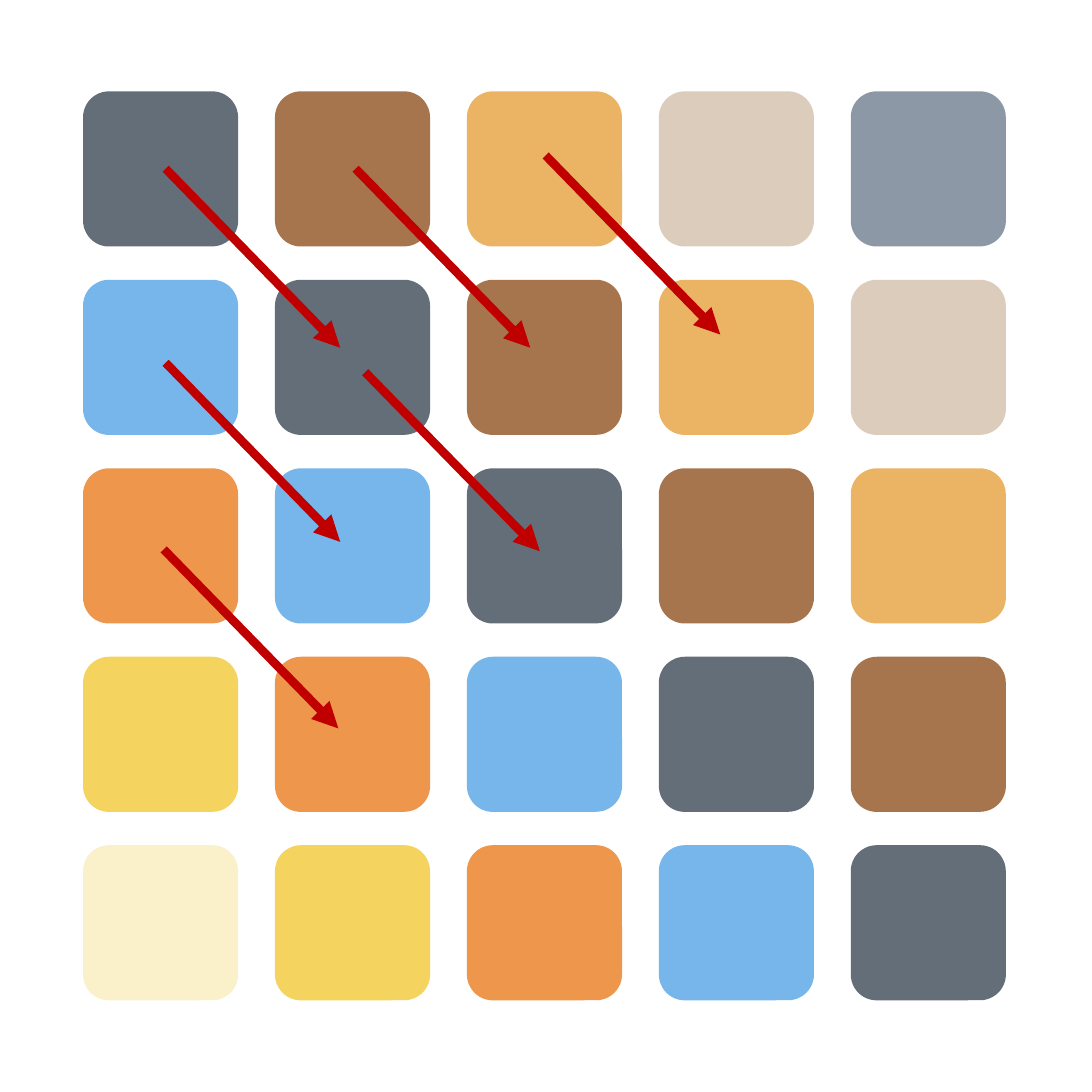
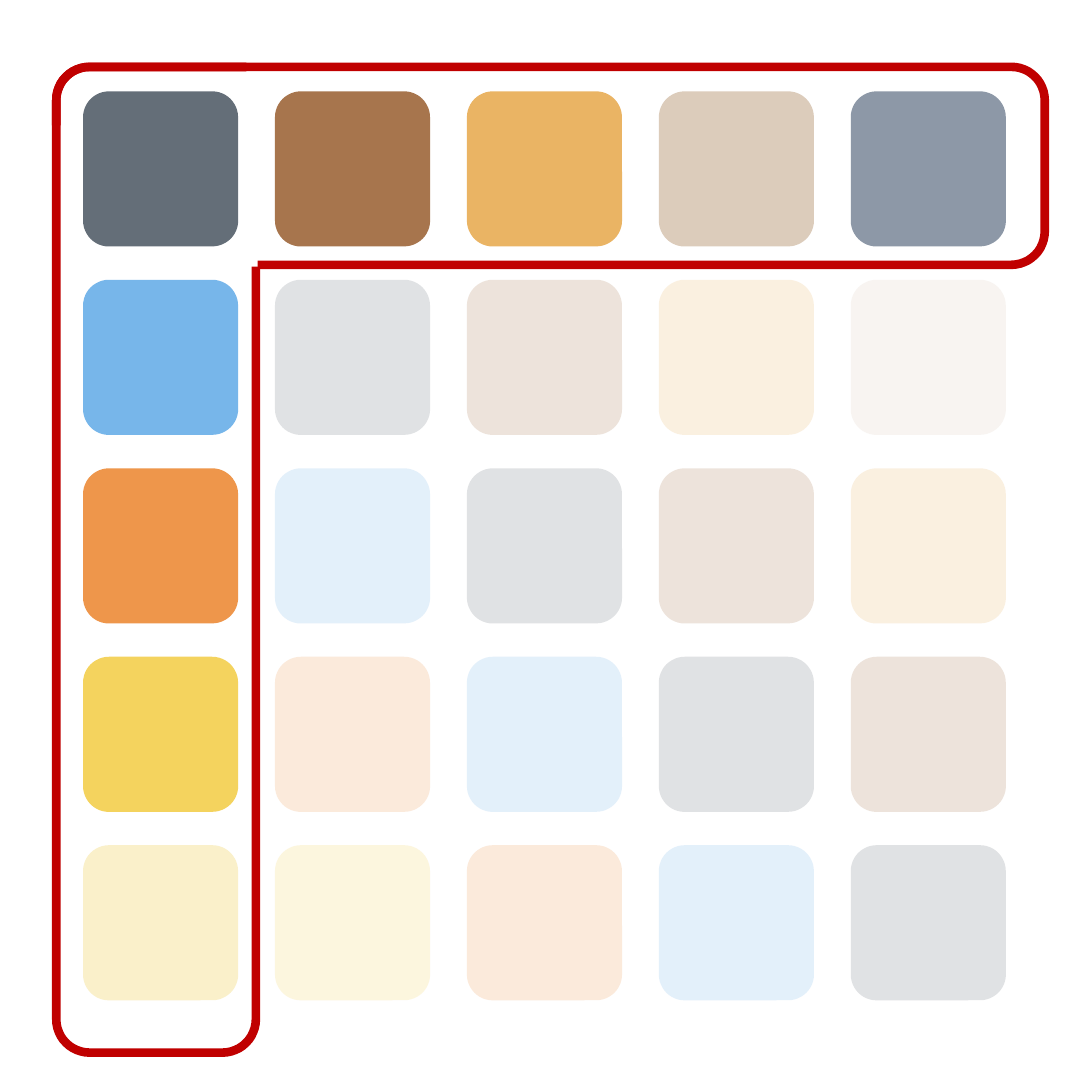
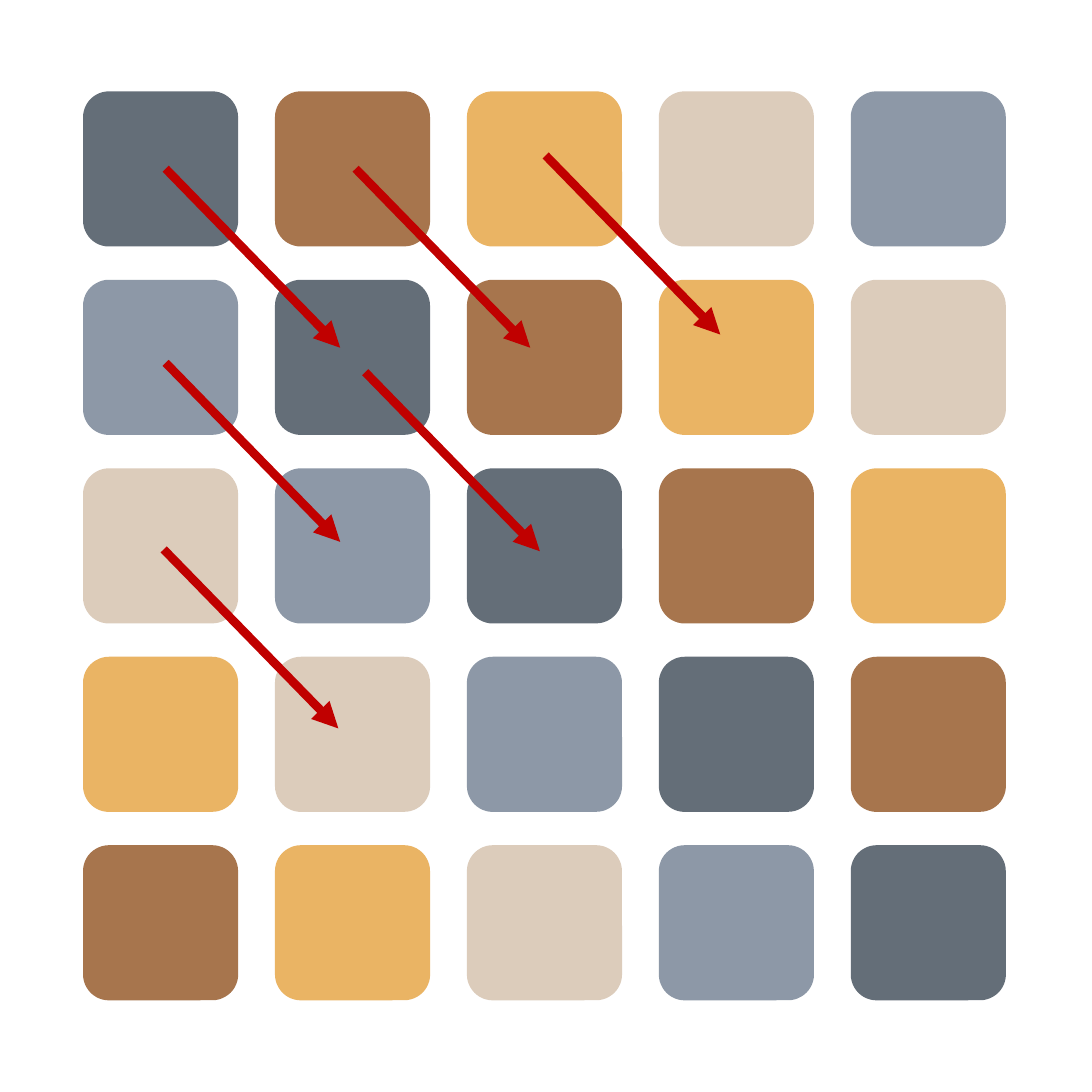
import dataclasses
import itertools
import math
import typing

import lxml.etree
import pptx
import pptx.dml.color
import pptx.dml.fill
import pptx.enum.shapes
import pptx.oxml.ns
import pptx.slide
import pptx.util


@dataclasses.dataclass(frozen=True)
class Theme:
    slate: str = "646E78"
    brown: str = "A7754D"
    amber: str = "EAB464"
    sand: str = "DCCCBB"
    steel: str = "8D98A7"
    sky: str = "77B6EA"
    orange: str = "EE964B"
    yellow: str = "F4D35E"
    cream: str = "FAF0CA"
    accent: str = "C00000"
    line_width: float = 2.25
    faded_opacity: float = 0.2


@dataclasses.dataclass(frozen=True)
class Grid:
    """Square grid; places are counted in columns and rows from its top left."""

    slide_side: float = 3.94
    count: int = 5
    left: float = 0.3
    top: float = 0.33
    last_left: float = 3.07
    last_top: float = 3.05
    tile_side: float = 0.56

    def x(self, column: float) -> int:
        pitch = (self.last_left - self.left) / (self.count - 1)
        return pptx.util.Inches(self.left + column * pitch)

    def y(self, row: float) -> int:
        pitch = (self.last_top - self.top) / (self.count - 1)
        return pptx.util.Inches(self.top + row * pitch)


class Point(typing.NamedTuple):
    column: float
    row: float


@dataclasses.dataclass(frozen=True)
class MatrixSlide:
    """first_row and first_column share the top left colour."""

    first_row: tuple[str, ...]
    first_column: tuple[str, ...]
    arrow_starts: tuple[Point, ...] = ()
    outlines: tuple[tuple[Point, ...], ...] = ()
    fade_inner: bool = False


THEME = Theme()
GRID = Grid()
CORNER_RADIUS = 0.12
CORNER_STEPS = 12
ARROW_SPAN = Point(0.91, 0.95)

FIRST_ROW = (THEME.slate, THEME.brown, THEME.amber, THEME.sand, THEME.steel)
FIRST_COLUMN = (THEME.slate, THEME.sky, THEME.orange, THEME.yellow, THEME.cream)
CYCLIC_COLUMN = FIRST_ROW[:1] + FIRST_ROW[:0:-1]

ARROW_STARTS = (
    Point(0.43, 0.41),
    Point(0.43, 1.44),
    Point(1.42, 0.41),
    Point(1.47, 1.49),
    Point(0.42, 2.43),
    Point(2.41, 0.34),
)
ROW_OUTLINE = (
    Point(-0.14, 0.18),
    Point(-0.14, -0.13),
    Point(5.01, -0.13),
    Point(5.01, 0.92),
    Point(0.91, 0.92),
)
COLUMN_OUTLINE = (
    Point(0.9, 0.93),
    Point(0.9, 5.1),
    Point(-0.14, 5.1),
    Point(-0.14, -0.13),
    Point(0.85, -0.13),
)

SLIDES = (
    MatrixSlide(FIRST_ROW, FIRST_COLUMN, arrow_starts=ARROW_STARTS),
    MatrixSlide(
        FIRST_ROW,
        FIRST_COLUMN,
        outlines=(ROW_OUTLINE, COLUMN_OUTLINE),
        fade_inner=True,
    ),
    MatrixSlide(FIRST_ROW, CYCLIC_COLUMN, arrow_starts=ARROW_STARTS),
)


def add_child(parent: typing.Any, tag: str, **attributes: str) -> None:
    lxml.etree.SubElement(parent, pptx.oxml.ns.qn(tag), attributes)


def paint(fill: pptx.dml.fill.FillFormat, color: str, opacity: float = 1) -> None:
    fill.solid()
    fill.fore_color.rgb = pptx.dml.color.RGBColor.from_string(color)
    if opacity < 1:
        solid = fill._xPr.find(pptx.oxml.ns.qn("a:solidFill"))
        add_child(solid[0], "a:alpha", val=str(round(opacity * 100000)))


def style_line(shape: typing.Any) -> None:
    shape.line.width = pptx.util.Pt(THEME.line_width)
    paint(shape.line.fill, THEME.accent)


def add_tiles(slide: pptx.slide.Slide, matrix: MatrixSlide) -> None:
    """Fill the grid so that each diagonal keeps one colour."""
    side = pptx.util.Inches(GRID.tile_side)
    for row, column in itertools.product(range(GRID.count), repeat=2):
        offset = column - row
        color = matrix.first_row[offset] if offset >= 0 else matrix.first_column[-offset]
        faded = matrix.fade_inner and row > 0 and column > 0
        tile = slide.shapes.add_shape(
            pptx.enum.shapes.MSO_SHAPE.ROUNDED_RECTANGLE,
            GRID.x(column), GRID.y(row), side, side,
        )
        tile.shadow.inherit = False
        tile.line.fill.background()
        paint(tile.fill, color, THEME.faded_opacity if faded else 1)


def add_arrow(slide: pptx.slide.Slide, start: Point) -> None:
    arrow = slide.shapes.add_connector(
        pptx.enum.shapes.MSO_CONNECTOR.STRAIGHT,
        GRID.x(start.column),
        GRID.y(start.row),
        GRID.x(start.column + ARROW_SPAN.column),
        GRID.y(start.row + ARROW_SPAN.row),
    )
    style_line(arrow)
    add_child(arrow.line._get_or_add_ln(), "a:tailEnd", type="triangle")
    add_child(arrow._element.spPr, "a:effectLst")


def rounded_corner(
    before: tuple[int, int], corner: tuple[int, int], after: tuple[int, int]
) -> list[tuple[int, int]]:
    """Points of the arc that replaces a right-angled corner."""
    radius = pptx.util.Inches(CORNER_RADIUS)

    def direction(target: tuple[int, int]) -> tuple[float, float]:
        distance = math.dist(corner, target)
        return (target[0] - corner[0]) / distance, (target[1] - corner[1]) / distance

    back, ahead = direction(before), direction(after)
    points = []
    for step in range(CORNER_STEPS + 1):
        angle = math.pi / 2 * step / CORNER_STEPS
        back_share = radius * (1 - math.sin(angle))
        ahead_share = radius * (1 - math.cos(angle))
        x, y = (
            round(corner[axis] + back[axis] * back_share + ahead[axis] * ahead_share)
            for axis in (0, 1)
        )
        points.append((x, y))
    return points


def add_outline(slide: pptx.slide.Slide, outline: tuple[Point, ...]) -> None:
    places = [(GRID.x(point.column), GRID.y(point.row)) for point in outline]
    vertices = []
    for before, corner, after in zip(places, places[1:], places[2:]):
        vertices += rounded_corner(before, corner, after)
    builder = slide.shapes.build_freeform(*places[0])
    builder.add_line_segments(vertices + places[-1:], close=False)
    shape = builder.convert_to_shape()
    shape.shadow.inherit = False
    shape.fill.background()
    style_line(shape)


def main() -> None:
    presentation = pptx.Presentation()
    presentation.slide_width = pptx.util.Inches(GRID.slide_side)
    presentation.slide_height = pptx.util.Inches(GRID.slide_side)
    blank_layout = presentation.slide_layouts.get_by_name("Blank")
    for matrix in SLIDES:
        slide = presentation.slides.add_slide(blank_layout)
        add_tiles(slide, matrix)
        for start in matrix.arrow_starts:
            add_arrow(slide, start)
        for outline in matrix.outlines:
            add_outline(slide, outline)
    presentation.save("out.pptx")


if __name__ == "__main__":
    main()
